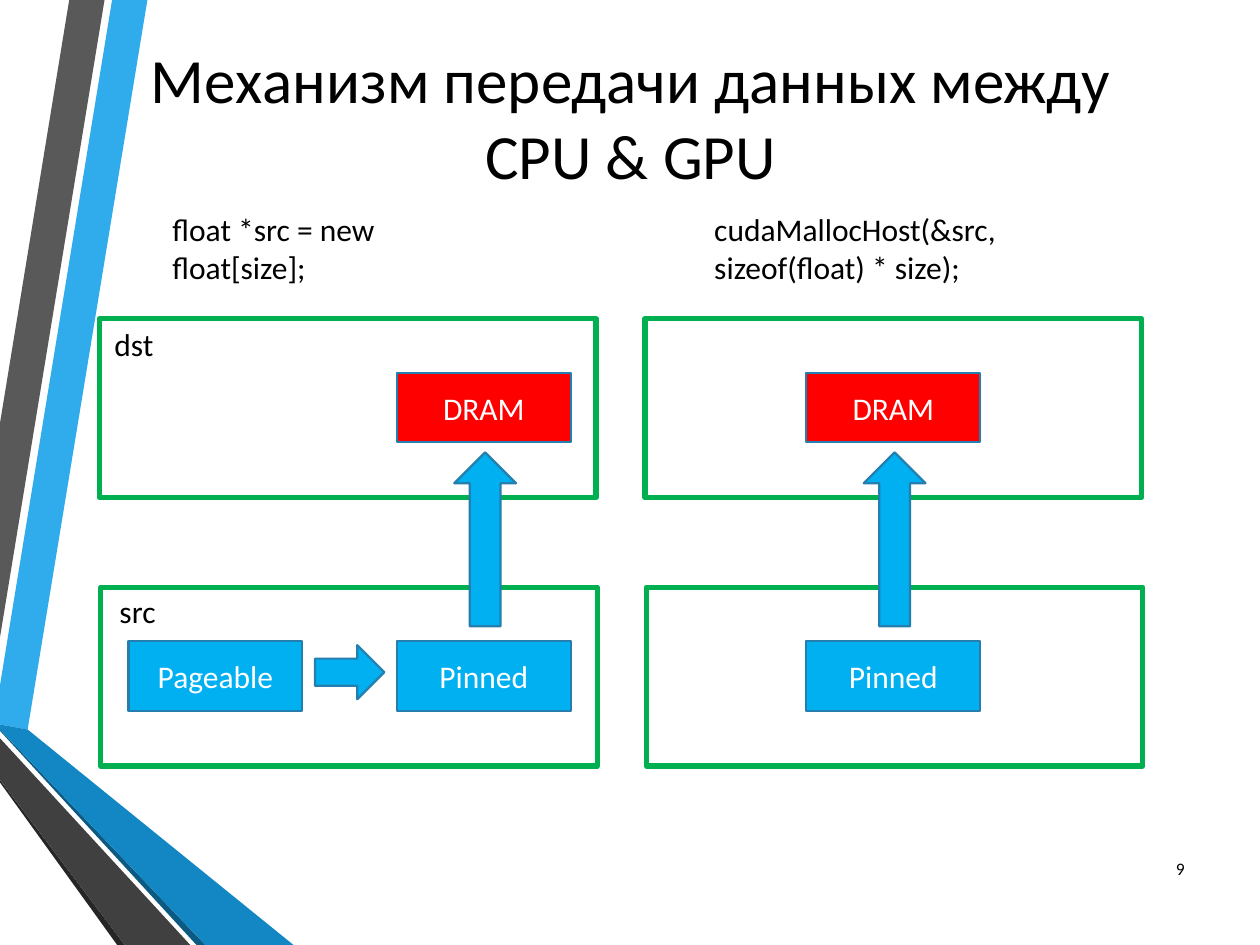
import pptx
import pptx.util
import pptx.dml.color
import pptx.enum.shapes
import pptx.enum.text

Inches = pptx.util.Inches
SHAPES = pptx.enum.shapes.MSO_SHAPE
ALIGN = pptx.enum.text.PP_ALIGN
ANCHOR = pptx.enum.text.MSO_ANCHOR

COLORS = {
    "black": "000000", "white": "FFFFFF", "frame": "00B050",
    "blue": "00B0F0", "red": "FF0000", "edge": "247FAF",
}

# Decorative bands, back to front: fill and corner points
BANDS = [
    ("30ACEC", [(0, 5.44), (0, 5.75), (0.22, 5.79), (1.17, 0), (0.89, 0)]),
    ("595959", [(0.83, 0), (0.55, 0), (0, 3.36), (0, 5.06)]),
    ("262626", [(0, 6.19), (0, 6.21), (0.93, 7.5), (0.99, 7.5)]),
    ("0C5A82", [(0, 5.79), (0, 5.8), (1.56, 7.5), (1.63, 7.5)]),
    ("1287C3", [(0, 5.79), (1.63, 7.5), (2.33, 7.5), (0.22, 5.79), (0, 5.75)]),
    ("404040", [(0, 6.19), (0.99, 7.5), (1.51, 7.5), (0, 5.86)]),
]

# Each scheme: left of its frames, left of its memory blocks
SCHEMES = [(0.79, 3.15), (5.12, 6.4)]
FRAME_SIZE = (3.94, 1.42)
BLOCK_SIZE = (1.38, 0.55)
ARROW_SIZE = (0.49, 1.38)
DEVICE_TOP, HOST_TOP, ARROW_TOP = 2.53, 4.66, 3.59
HOST_SHIFT = 0.01
BLOCK_INSET = 0.43
PAGEABLE_LEFT = 1.02

TITLE = "Механизм передачи данных между CPU & GPU"
LABELS = [
    (["float *src = new float[size];"], (1.27, 1.62, 2.58, 0.71)),
    (["src"], (0.85, 4.65, 0.67, 0.4)),
    (["dst"], (0.81, 2.53, 0.67, 0.4)),
    (["cudaMallocHost(&src,", "sizeof(float) * size);"], (5.57, 1.62, 3.29, 0.71)),
]


def rgb(value):
    return pptx.dml.color.RGBColor.from_string(value)


def write(shape, lines, size, color="black", align=ALIGN.LEFT, anchor=ANCHOR.TOP):
    frame = shape.text_frame
    frame.word_wrap = True
    frame.vertical_anchor = anchor
    frame.text = "\n".join(lines)
    for para in frame.paragraphs:
        para.alignment = align
        para.font.name = "Calibri"
        para.font.size = pptx.util.Pt(size)
        para.font.color.rgb = rgb(COLORS[color])


def add_text(page, lines, place, size, **style):
    box = page.shapes.add_textbox(*map(Inches, place))
    write(box, lines, size, **style)


def add_figure(page, kind, place, fill, line="edge", width=1.25):
    figure = page.shapes.add_shape(kind, *map(Inches, place))
    figure.shadow.inherit = False
    if fill:
        figure.fill.solid()
        figure.fill.fore_color.rgb = rgb(COLORS[fill])
    else:
        figure.fill.background()
    figure.line.color.rgb = rgb(COLORS[line])
    figure.line.width = pptx.util.Pt(width)
    return figure


def add_block(page, name, left, frame_top, fill):
    place = (left, frame_top + BLOCK_INSET, *BLOCK_SIZE)
    block = add_figure(page, SHAPES.RECTANGLE, place, fill)
    write(block, [name], 18, "white", ALIGN.CENTER, ANCHOR.MIDDLE)


def add_band(page, fill, points):
    corners = [(Inches(x), Inches(y)) for x, y in points]
    builder = page.shapes.build_freeform(*corners[0])
    builder.add_line_segments(corners[1:], close=True)
    band = builder.convert_to_shape()
    band.shadow.inherit = False
    band.fill.solid()
    band.fill.fore_color.rgb = rgb(fill)
    band.line.fill.background()


def add_scheme(page, frame_left, block_left):
    """Device frame above host frame, joined by the transfer arrow."""
    for left, top in [(frame_left, DEVICE_TOP), (frame_left + HOST_SHIFT, HOST_TOP)]:
        add_figure(page, SHAPES.RECTANGLE, (left, top, *FRAME_SIZE), None, "frame", 3)
    add_block(page, "Pinned", block_left, HOST_TOP, "blue")
    add_block(page, "DRAM", block_left, DEVICE_TOP, "red")
    arrow_left = block_left + (BLOCK_SIZE[0] - ARROW_SIZE[0]) / 2 + 0.01
    add_figure(page, SHAPES.UP_ARROW, (arrow_left, ARROW_TOP, *ARROW_SIZE), "blue")


def main():
    deck = pptx.Presentation()
    deck.slide_width, deck.slide_height = Inches(10), Inches(7.5)
    page = deck.slides.add_slide(deck.slide_layouts[6])

    for fill, points in BANDS:
        add_band(page, fill, points)
    add_text(page, [TITLE], (0.67, 0.3, 8.67, 1.25), 36,
             align=ALIGN.CENTER, anchor=ANCHOR.MIDDLE)
    add_text(page, ["9"], (9.05, 6.69, 0.45, 0.4), 10,
             align=ALIGN.RIGHT, anchor=ANCHOR.MIDDLE)

    for frame_left, block_left in SCHEMES:
        add_scheme(page, frame_left, block_left)
    add_block(page, "Pageable", PAGEABLE_LEFT, HOST_TOP, "blue")
    add_figure(page, SHAPES.RIGHT_ARROW, (2.5, 5.12, 0.55, 0.43), "blue")

    for lines, place in LABELS:
        add_text(page, lines, place, 18)
    deck.save("out.pptx")


if __name__ == "__main__":
    main()
